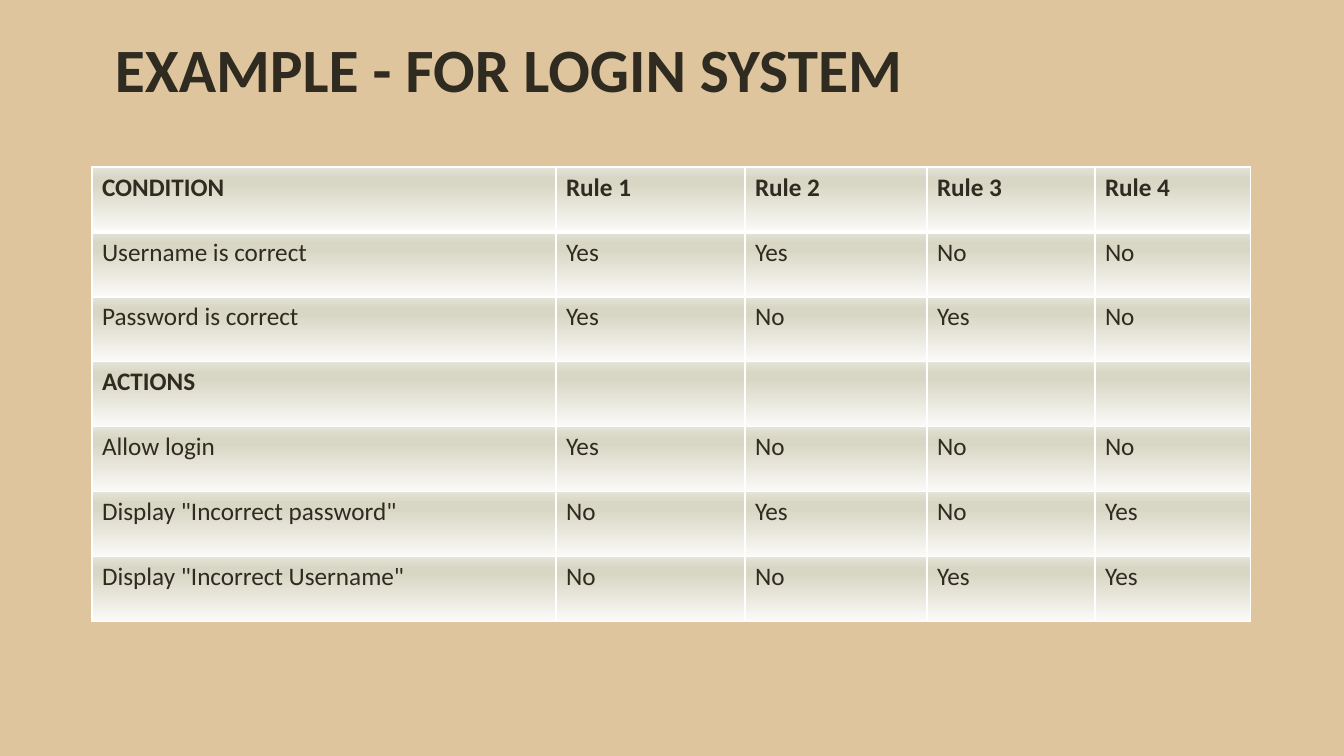
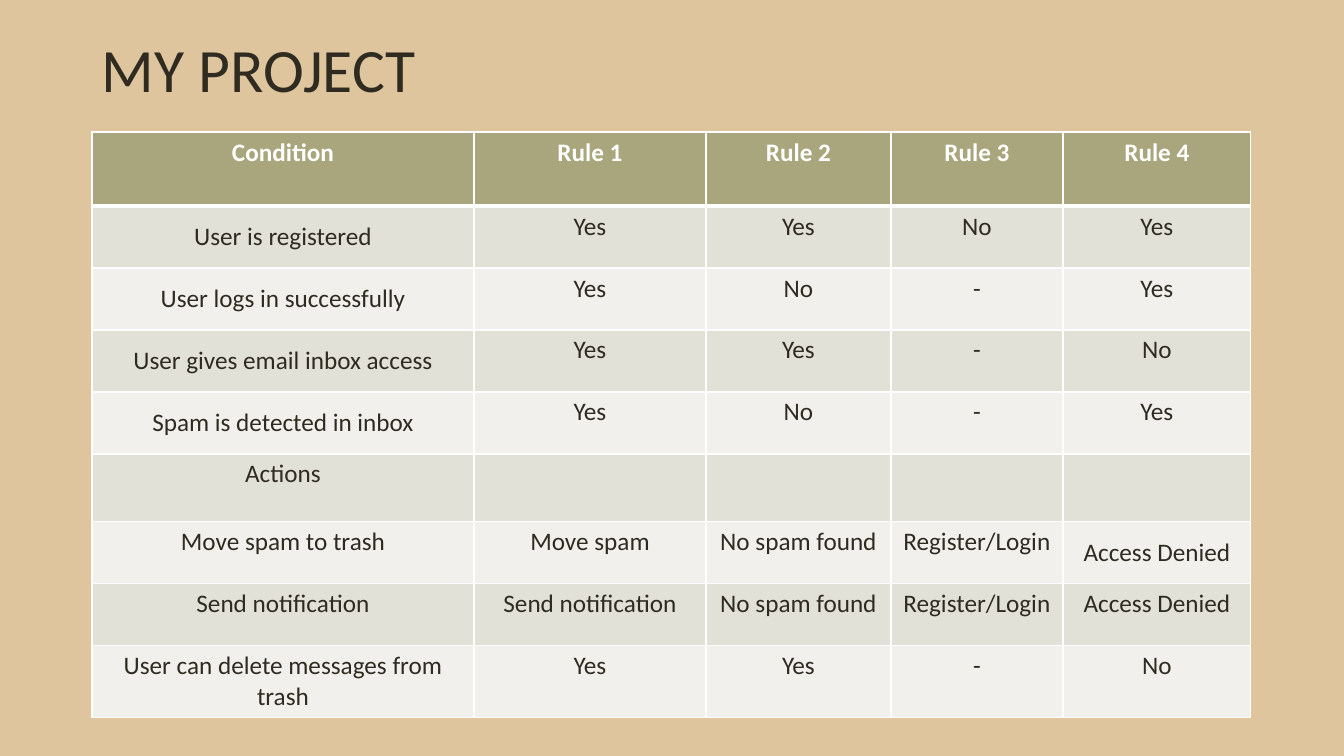
"""Build two decision-table slides for a login system and a spam project."""
from lxml.etree import SubElement
from pptx import Presentation
from pptx.dml.color import RGBColor as RGB
from pptx.enum.text import MSO_ANCHOR as ANCHOR, PP_ALIGN as ALIGN
from pptx.oxml.ns import qn
from pptx.util import Emu, Pt

EMU_PER_PX = 914400 / 100.8
FONT = "Calibri"
COLORS = {
    "background": "DEC59E",
    "ink": "2F2B20",
    "white": "FFFFFF",
    "header": "A9A57C",
    "band_dark": "E2E1D7",
    "band_light": "F1F0EC",
}
GRADIENT = [(0, "FBFAF8"), (74, "D8D6C4"), (83, "D8D6C4"), (100, "E5E4D8")]
TABLE_LEFT = 92
TABLE_WIDTH = 1159
RULES = ["Rule 1", "Rule 2", "Rule 3", "Rule 4"]

LOGIN_ROWS = [
    ["CONDITION", *RULES],
    ["Username is correct", "Yes", "Yes", "No", "No"],
    ["Password is correct", "Yes", "No", "Yes", "No"],
    ["ACTIONS", "", "", "", ""],
    ["Allow login", "Yes", "No", "No", "No"],
    ['Display "Incorrect password"', "No", "Yes", "No", "Yes"],
    ['Display "Incorrect Username"', "No", "No", "Yes", "Yes"],
]
PROJECT_ROWS = [
    ["Condition", *RULES],
    ["User is registered", "Yes", "Yes", "No", "Yes"],
    ["User logs in successfully", "Yes", "No", "-", "Yes"],
    ["User gives email inbox access", "Yes", "Yes", "-", "No"],
    ["Spam is detected in inbox", "Yes", "No", "-", "Yes"],
    ["Actions", "", "", "", ""],
    ["Move spam to trash", "Move spam", "No spam found", "Register/Login", "Access Denied"],
    ["Send notification", "Send notification", "No spam found", "Register/Login", "Access Denied"],
    ["User can delete messages from trash", "Yes", "Yes", "-", "No"],
]
PROJECT_MIDDLE = {(1, 0), (2, 0), (3, 0), (4, 0), (6, 4)}


def px(n):
    return Emu(round(n * EMU_PER_PX))


def style_text(p, size, color, bold):
    for r in p.runs:
        r.font.name = FONT
        r.font.size = Pt(size)
        r.font.bold = bold
        r.font.color.rgb = RGB.from_string(COLORS[color])


def add_title(s, text, left, bold=False):
    tf = s.shapes.add_textbox(px(left), 0, px(TABLE_WIDTH), px(146)).text_frame
    tf.word_wrap = True
    tf.vertical_anchor = ANCHOR.MIDDLE
    p = tf.paragraphs[0]
    p.text = text
    p.line_spacing = 0.9
    style_text(p, 44, "ink", bold)


def add_solid(parent, color):
    fill = SubElement(parent, qn("a:solidFill"))
    SubElement(fill, qn("a:srgbClr"), val=color)


def set_borders(cell, row):
    tcPr = cell._tc.get_or_add_tcPr()
    widths = {"L": 1, "R": 1, "T": 3 if row == 1 else 1, "B": 3 if row == 0 else 1}
    for side, width in widths.items():
        ln = SubElement(tcPr, qn(f"a:ln{side}"), w=str(Pt(width)))
        add_solid(ln, COLORS["white"])


def fill_gradient(cell):
    grad = SubElement(cell._tc.get_or_add_tcPr(), qn("a:gradFill"), rotWithShape="1")
    stops = SubElement(grad, qn("a:gsLst"))
    for pos, color in GRADIENT:
        gs = SubElement(stops, qn("a:gs"), pos=str(pos * 1000))
        SubElement(gs, qn("a:srgbClr"), val=color)
    SubElement(grad, qn("a:lin"), ang=str(270 * 60000), scaled="0")


def fill_band(cell, row):
    name = "header" if row == 0 else "band_dark" if row % 2 else "band_light"
    cell.fill.solid()
    cell.fill.fore_color.rgb = RGB.from_string(COLORS[name])


def add_grid(s, top, widths, heights, rows):
    frame = s.shapes.add_table(len(rows), len(widths), px(TABLE_LEFT), px(top),
                               px(sum(widths)), px(sum(heights)))
    table = frame.table
    table.first_row = table.horz_banding = False
    for col, width in zip(table.columns, widths):
        col.width = px(width)
    for row, height in zip(table.rows, heights):
        row.height = px(height)
    for i, texts in enumerate(rows):
        for j, text in enumerate(texts):
            cell = table.cell(i, j)
            cell.text_frame.text = text
            set_borders(cell, i)
            yield i, j, cell


def add_login_slide(prs):
    s = prs.slides.add_slide(prs.slide_layouts[6])
    add_title(s, "EXAMPLE - FOR LOGIN SYSTEM", 105, bold=True)
    widths = [464, 189, 182, 168, 156]
    for i, _, cell in add_grid(s, 167, widths, [65] * 7, LOGIN_ROWS):
        fill_gradient(cell)
        style_text(cell.text_frame.paragraphs[0], 18, "ink", i in (0, 3))


def add_project_slide(prs):
    s = prs.slides.add_slide(prs.slide_layouts[6])
    add_title(s, "MY PROJECT", TABLE_LEFT)
    widths = [382, 232, 185, 172, 188]
    heights = [74, *[62] * 4, 68, 62, 62, 72]
    for i, j, cell in add_grid(s, 132, widths, heights, PROJECT_ROWS):
        fill_band(cell, i)
        p = cell.text_frame.paragraphs[0]
        p.alignment = ALIGN.CENTER
        style_text(p, 18, "ink" if i else "white", i == 0)
        if (i, j) in PROJECT_MIDDLE:
            cell.vertical_anchor = ANCHOR.MIDDLE


def main():
    prs = Presentation()
    prs.slide_width, prs.slide_height = px(1344), px(756)
    fill = prs.slide_master.background.fill
    fill.solid()
    fill.fore_color.rgb = RGB.from_string(COLORS["background"])
    add_login_slide(prs)
    add_project_slide(prs)
    prs.save("out.pptx")


if __name__ == "__main__":
    main()
